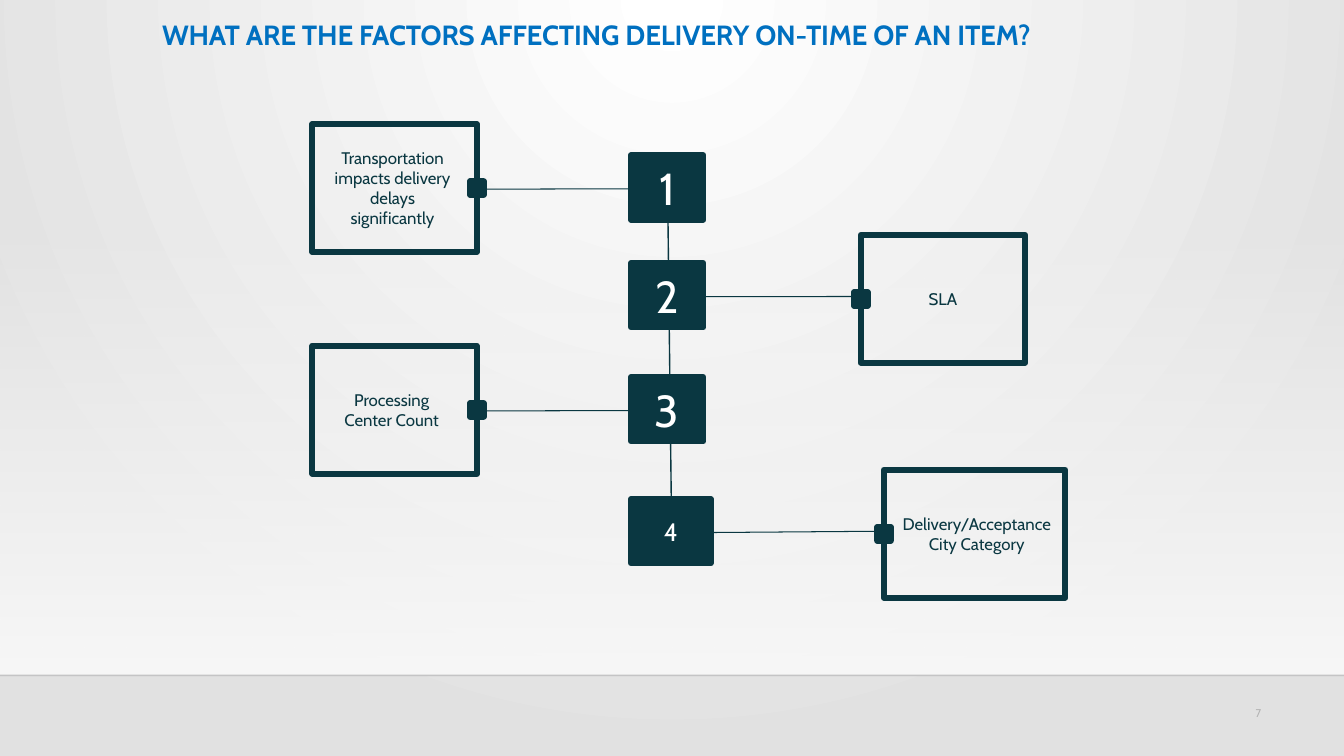
from lxml.etree import SubElement
from pptx import Presentation
from pptx.dml.color import RGBColor
from pptx.enum.shapes import MSO_CONNECTOR, MSO_SHAPE
from pptx.enum.text import MSO_ANCHOR, PP_ALIGN
from pptx.oxml.ns import qn
from pptx.util import Pt

COLORS = {
    "teal": "0A3741", "blue": "0070C0", "white": "FFFFFF", "gray": "B2B2B2",
    "edge": "E1E1E1", "wall": "F8F8F8", "floor": "000001",
}
FONT = "Cabin"
NODE_LEFT, NODE_HEIGHT = 450.7, 46
FRAME_HEIGHT, SOCKET_SIZE, OUTLINE = 91.4, 9.6, 4.33

# number, its size, node top, node width, frame (left, top, width),
# label, label (left, width)
FACTORS = [
    ("1", 32, 110.9, 51.8, (223.2, 88.6, 117.4),
     "Transportation impacts delivery delays significantly", (229.7, 101.5)),
    ("2", 32, 187.9, 51.8, (614.9, 167.8, 117.4), "SLA", (622.8, 101.5)),
    ("3", 32, 269.3, 51.8, (223.2, 247, 117.4),
     "Processing Center Count", (229, 101.5)),
    ("4", 18, 356.4, 56.9, (631.4, 335.5, 129.6),
     "Delivery/Acceptance City Category", (635.8, 123.8)),
]


def color(name):
    return RGBColor.from_string(COLORS[name])


def apply_format(target, values):
    for name, value in values.items():
        setattr(target, name, value)


def color_stops(fill, names):
    fill.gradient()
    for stop, name in zip(fill.gradient_stops, names):
        stop.color.rgb = color(name)


def add_alpha(element, percent):
    rgb = element.find(".//" + qn("a:srgbClr"))
    SubElement(rgb, qn("a:alpha"), val=str(percent * 1000))


def write_text(box, text, size, shade, align, anchor, bold=False):
    frame = box.text_frame
    apply_format(frame, {"word_wrap": True, "vertical_anchor": anchor})
    para = frame.paragraphs[0]
    para.alignment = align
    span = para.add_run()
    span.text = text
    apply_format(span.font, {"name": FONT, "size": Pt(size), "bold": bold})
    span.font.color.rgb = color(shade)
    return para, span


def add_text(page, place, *text_format, **options):
    box = page.shapes.add_textbox(*map(Pt, place))
    return write_text(box, *text_format, **options)


def add_block(page, place, filled=True):
    box = page.shapes.add_shape(MSO_SHAPE.RECTANGLE, *map(Pt, place))
    box.shadow.inherit = False
    if filled:
        box.fill.solid()
        box.fill.fore_color.rgb = color("teal")
    else:
        box.fill.background()
    box.line.width = Pt(OUTLINE)
    box.line.color.rgb = color("teal")
    SubElement(box.line._get_or_add_ln(), qn("a:round"))
    return box


def add_line(page, ends, width, shade="teal"):
    line = page.shapes.add_connector(MSO_CONNECTOR.STRAIGHT, *map(Pt, ends))
    line.line.width = Pt(width)
    line.line.color.rgb = color(shade)
    SubElement(line._element.spPr, qn("a:effectLst"))
    return line


def add_backdrop(page):
    # Radial light from the top centre
    color_stops(page.background.fill, ("white", "edge"))
    gradient = page._element.find(".//" + qn("a:gradFill"))
    gradient.remove(gradient.find(qn("a:lin")))
    circle = SubElement(gradient, qn("a:path"), path="circle")
    SubElement(circle, qn("a:fillToRect"), l="43000", t="0", r="43000", b="100000")

    # Wall that fades in towards the floor line
    wall = page.shapes.add_shape(
        MSO_SHAPE.RECTANGLE, Pt(0), Pt(159.1), Pt(960), Pt(323.3))
    wall.shadow.inherit = False
    wall.line.fill.background()
    color_stops(wall.fill, ("wall", "wall"))
    wall.fill.gradient_angle = 270
    add_alpha(wall._element.spPr, 0)
    floor = add_line(page, (0, 482.4, 960, 482.4), 1, "floor")
    add_alpha(floor._element.spPr, 20)


def add_factor(page, number, size, node_top, node_width, frame, label, label_span):
    left, top, width = frame
    on_left = left < NODE_LEFT
    edge = left + width if on_left else left
    half = SOCKET_SIZE / 2

    # Frame and the socket centred on its inner edge
    add_block(page, (left, top, width, FRAME_HEIGHT), filled=False)
    add_block(page, (edge - half, top + 41, SOCKET_SIZE, SOCKET_SIZE))

    # Link from the numbered node to the socket
    node_side = NODE_LEFT if on_left else NODE_LEFT + node_width
    socket_side = edge + half if on_left else edge - half
    socket_y = top + (46.5 if on_left else 44)
    add_line(page, (node_side, node_top + 24, socket_side, socket_y), 0.75)

    node = add_block(page, (NODE_LEFT, node_top, node_width, NODE_HEIGHT))
    write_text(node, number, size, "white", PP_ALIGN.CENTER, MSO_ANCHOR.MIDDLE)
    label_left, label_width = label_span
    add_text(page, (label_left, top + 4.1, label_width, 82.8),
             label, 12, "teal", PP_ALIGN.CENTER, MSO_ANCHOR.MIDDLE)


def main():
    deck = Presentation()
    apply_format(deck, {"slide_width": Pt(960), "slide_height": Pt(540)})
    page = deck.slides.add_slide(deck.slide_layouts[6])
    add_backdrop(page)

    # Title and page number
    para, span = add_text(
        page, (108.7, 11.5, 739.4, 32.4),
        "WHAT ARE THE FACTORS AFFECTING DELIVERY ON-TIME OF AN ITEM?",
        19.8, "blue", PP_ALIGN.LEFT, MSO_ANCHOR.TOP, bold=True)
    para.line_spacing = 0.9
    span.font._element.set("spc", "-10")
    add_text(page, (827.3, 501.1, 80.6, 28.8),
             "7", 8, "gray", PP_ALIGN.RIGHT, MSO_ANCHOR.TOP)

    # Trunk behind the numbered nodes, then the factors
    add_line(page, (476.6, 110.9, 479.5, 356.4), 1)
    for factor in FACTORS:
        add_factor(page, *factor)

    deck.save("out.pptx")


if __name__ == "__main__":
    main()
